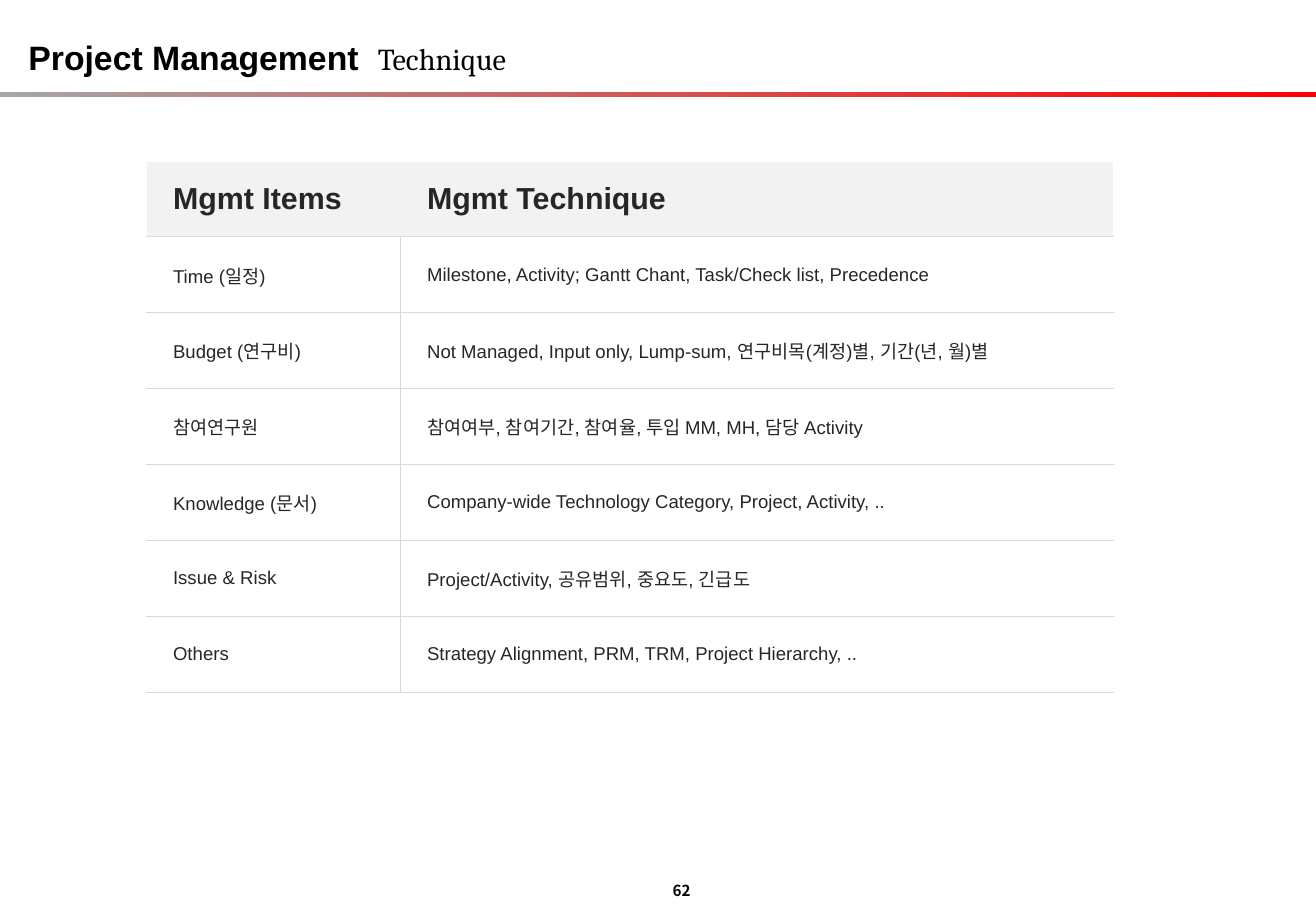
import pptx
import pptx.dml.color
import pptx.enum.shapes
import pptx.enum.text
import pptx.oxml
import pptx.oxml.ns
import pptx.util

PX = 7620  # 120 px to the inch
ALIGN = pptx.enum.text.PP_ALIGN
ANCHOR = pptx.enum.text.MSO_ANCHOR

TECHNIQUES = [
    ("Mgmt Items", "Mgmt Technique"),
    ("Time (일정)", "Milestone, Activity; Gantt Chant, Task/Check list, Precedence"),
    ("Budget (연구비)", "Not Managed, Input only, Lump-sum, 연구비목(계정)별, 기간(년, 월)별"),
    ("참여연구원", "참여여부, 참여기간, 참여율, 투입 MM, MH, 담당 Activity"),
    ("Knowledge (문서)", "Company-wide Technology Category, Project, Activity, .."),
    ("Issue & Risk", "Project/Activity, 공유범위, 중요도, 긴급도"),
    ("Others", "Strategy Alignment, PRM, TRM, Project Hierarchy, .."),
]


def px(*lengths):
    return [pptx.util.Emu(length * PX) for length in lengths]


def color(hex_string):
    return pptx.dml.color.RGBColor.from_string(hex_string)


class Page:
    latin, korean = "Arial", "Noto Sans CJK KR"
    black, ink, rule, shade, white = "000000", "262626", "D9D9D9", "F2F2F2", "FFFFFF"

    def __init__(self, deck):
        self.slide = deck.slides.add_slide(deck.slide_layouts[5])

    def style(self, span, size, name, ink, bold=False):
        font = span.font
        font.size, font.name, font.bold = pptx.util.Pt(size), name, bold
        font.color.rgb = color(ink)
        east_asian = pptx.oxml.parse_xml(
            f'<a:ea {pptx.oxml.ns.nsdecls("a")} typeface="{self.korean}"/>')
        font._element.append(east_asian)

    def fit(self, frame, anchor):
        frame.word_wrap = False
        frame.auto_size = pptx.enum.text.MSO_AUTO_SIZE.SHAPE_TO_FIT_TEXT
        frame.vertical_anchor = anchor

    def title(self, strong, light, left, top, width, height):
        box = self.slide.shapes.title
        box.left, box.top, box.width, box.height = px(left, top, width, height)
        self.fit(box.text_frame, ANCHOR.TOP)
        para = box.text_frame.paragraphs[0]
        para.alignment = ALIGN.LEFT
        for text, size, name, bold in ((strong, 20, self.latin, True),
                                       (light, 18, "Cambria", False)):
            span = para.add_run()
            span.text = text
            self.style(span, size, name, self.black, bold)

    def gradient_bar(self, start, end, left, top, width, height):
        bar = self.slide.shapes.add_shape(
            pptx.enum.shapes.MSO_SHAPE.RECTANGLE, *px(left, top, width, height))
        bar.shadow.inherit = False
        bar.line.fill.background()
        bar.fill.gradient()
        bar.fill.gradient_angle = 0
        for stop, hex_string in zip(bar.fill.gradient_stops, (start, end)):
            stop.color.rgb = color(hex_string)

    def page_number(self, number, left, top, width, height):
        box = self.slide.shapes.add_textbox(*px(left, top, width, height))
        self.fit(box.text_frame, ANCHOR.MIDDLE)
        box.text_frame.text = number
        para = box.text_frame.paragraphs[0]
        para.alignment = ALIGN.RIGHT
        self.style(para.runs[0], 9, self.korean, self.black, True)

    def borders(self, cell, sides):
        """Set the left, right, top and bottom lines; None means no line."""
        properties = cell._tc.get_or_add_tcPr()
        for index, (side, hex_string) in enumerate(zip("LRTB", sides)):
            width = 9525 if hex_string == self.rule else 12700
            fill = (f'<a:solidFill><a:srgbClr val="{hex_string}"/></a:solidFill>'
                    if hex_string else "<a:noFill/>")
            properties.insert(index, pptx.oxml.parse_xml(
                f'<a:ln{side} {pptx.oxml.ns.nsdecls("a")} w="{width}">{fill}</a:ln{side}>'))

    def cell(self, cell, text, header, first):
        cell.text = text
        cell.vertical_anchor = ANCHOR.MIDDLE
        cell.margin_left, cell.margin_right = px(26, 26)
        cell.margin_top, cell.margin_bottom = px(14, 14)
        cell.fill.solid()
        cell.fill.fore_color.rgb = color(self.shade if header else self.white)
        self.style(cell.text_frame.paragraphs[0].runs[0],
                   18 if header else 11, self.latin, self.ink, header)
        inner = None if header else self.rule
        left, right = (self.white, inner) if first else (inner, self.white)
        top = self.white if header else self.rule
        self.borders(cell, (left, right, top, self.rule))

    def table(self, rows, left, top, widths, row_height):
        frame = self.slide.shapes.add_table(
            len(rows), len(widths),
            *px(left, top, sum(widths), row_height * len(rows)))
        table = frame.table
        table.first_row = table.horz_banding = False
        for column, width in zip(table.columns, px(*widths)):
            column.width = width
        for row_index, texts in enumerate(rows):
            for column_index, text in enumerate(texts):
                self.cell(table.cell(row_index, column_index), text,
                          row_index == 0, column_index == 0)


def main():
    deck = pptx.Presentation()
    deck.slide_width, deck.slide_height = px(1300, 900)
    page = Page(deck)

    # Heading and rule below it
    page.gradient_bar("A6A6A6", "FF0000", 0, 91, 1300, 5)
    page.title("Project Management  ", "Technique", 16, 30, 534, 53)

    # Management techniques
    page.table(TECHNIQUES, 145, 159, (251, 704), 75)

    # Footer
    page.page_number("62", 650, 865, 44, 30)

    deck.save("out.pptx")


if __name__ == "__main__":
    main()
